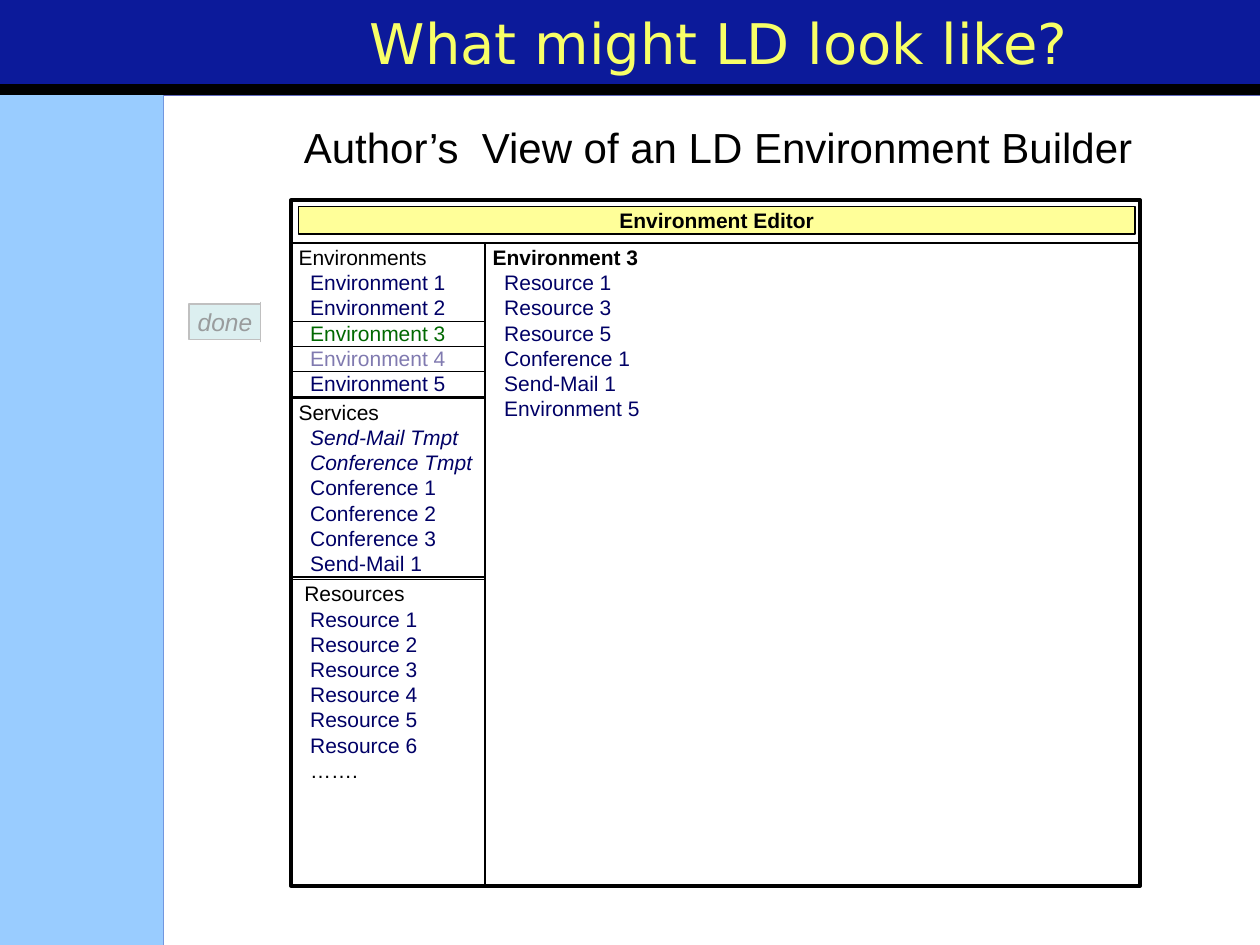
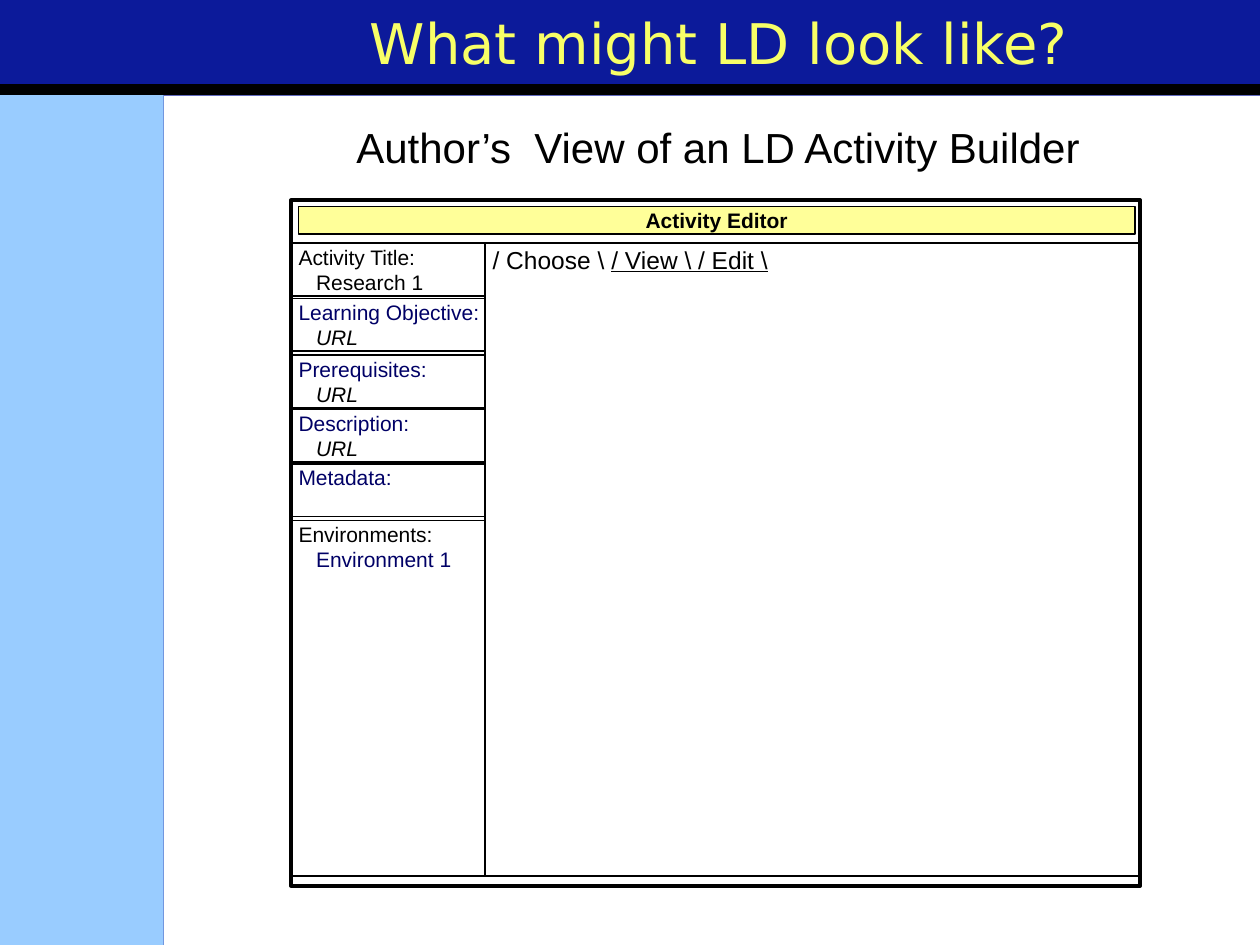
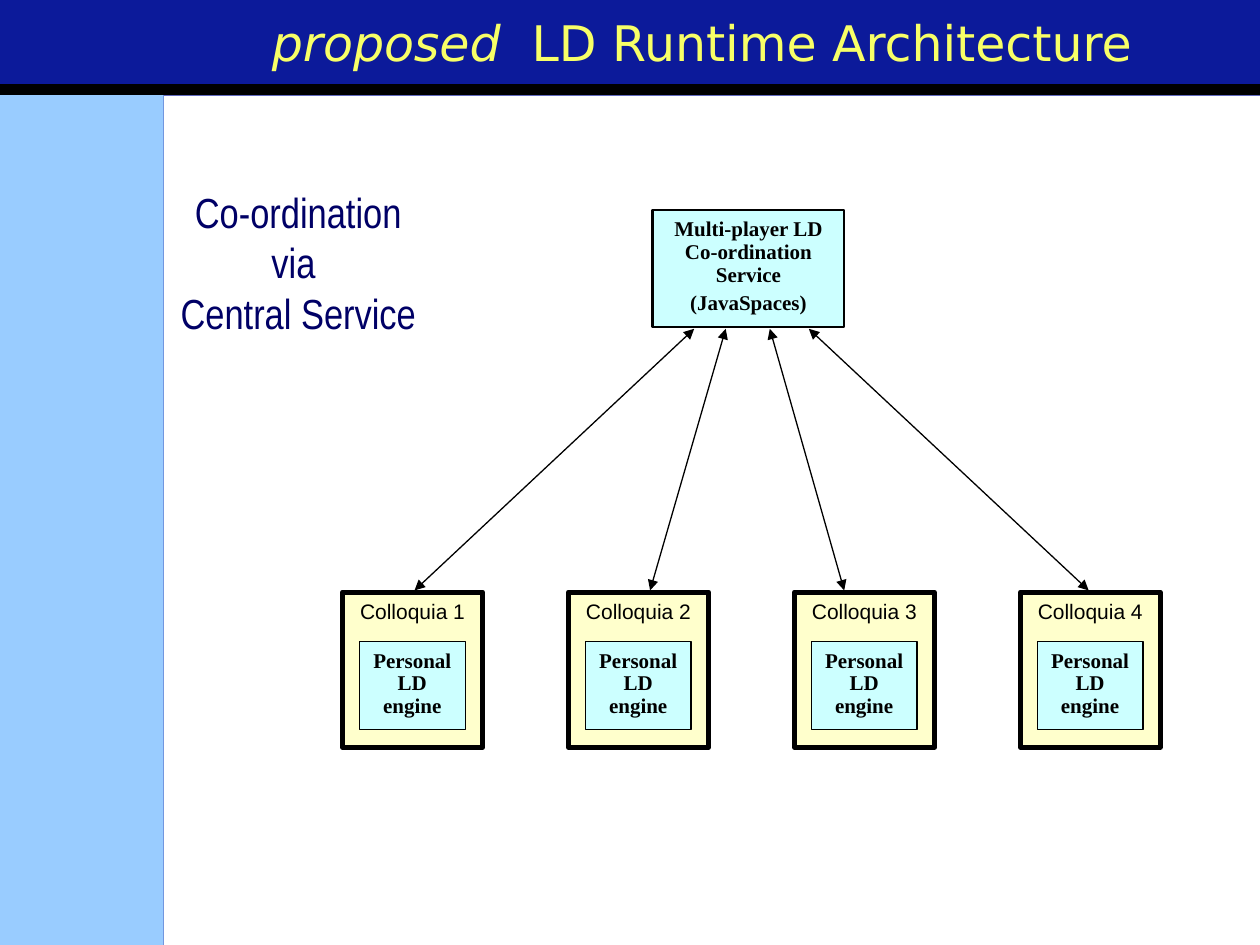
from dataclasses import dataclass

from lxml import etree
from pptx import Presentation
from pptx import util as u
from pptx.dml import color as dml
from pptx.enum import shapes, text
from pptx.oxml import ns

Pt = u.Pt


@dataclass(frozen=True)
class Theme:
    navy: str = "0C1A9A"
    sky: str = "99CCFF"
    white: str = "FFFFFF"
    black: str = "000000"
    title_yellow: str = "F8FF67"
    bar_yellow: str = "FFFF99"
    cream: str = "FFFFCC"
    aqua: str = "CCFFFF"
    link: str = "000066"
    selected: str = "006800"
    visited: str = "807AB0"
    button: str = "BBE0E3"
    button_edge: str = "C0C0C0"
    button_text: str = "999C9D"
    title_font: str = "DejaVu Sans"
    body_font: str = "Arial"
    narrow_font: str = "Arial Narrow"
    serif_font: str = "Times New Roman"
    title_size: int = 32
    long_title_size: int = 28
    heading_size: int = 24
    tab_size: int = 14
    body_size: int = 12


THEME = Theme()
CENTER = text.PP_ALIGN.CENTER
LEFT = text.PP_ALIGN.LEFT
SMALL_INSETS = (4.3, 0.7, 4.3, 0.7)
TIGHT_INSETS = (4.3, 0.7, 1.4, 0.7)
NORMAL_INSETS = (7.2, 3.6, 7.2, 3.6)
SERVICE_INSETS = (7.2, 5, 7.2, 3.6)

FRAME_LEFT, FRAME_WIDTH = 166.3, 485.3
PANEL_TOP, PANEL_BOTTOM = 139, 505.4
LIST_WIDTH = 110.9
DETAIL_LEFT = FRAME_LEFT + LIST_WIDTH


@dataclass
class Line:
    words: str
    color: str = THEME.black
    size: float = THEME.body_size
    font: str = THEME.body_font
    bold: bool = False
    italic: bool = False
    underline: bool = False
    indent: float = 0
    align: text.PP_ALIGN = LEFT
    spacing: float = 1.0


def links(*names, **style):
    return [Line(name, THEME.link, indent=6.67, **style) for name in names]


class Deck:
    def __init__(self, theme):
        self.theme = theme
        self.presentation = Presentation()
        self.presentation.slide_width = Pt(720)
        self.presentation.slide_height = Pt(540)
        self.layout = self.presentation.slide_layouts[5]
        self.slide = None

    def add_shared_bands(self):
        theme = self.theme
        self.layout.background.fill.solid()
        self.layout.background.fill.fore_color.rgb = dml.RGBColor.from_string(theme.navy)
        for placeholder in list(self.layout.placeholders):
            if placeholder.placeholder_format.idx != 0:
                placeholder.element.getparent().remove(placeholder.element)
        bands = [
            self.box(93.6, 54.7, 626.4, 485.3, fill=theme.white, line=None),
            self.box(0, 54, 93.6, 486, fill=theme.sky, line=None),
            self.box(0, 48.2, 720, 5.8, fill=theme.black, weight=0.75),
        ]
        for position, band in enumerate(bands, start=2):
            self.layout.shapes.element.insert(position, band.element)

    def new_slide(self, *title_lines, left=149, width=534.2):
        first = self.slide is None
        self.slide = self.presentation.slides.add_slide(self.layout)
        if first:
            self.add_shared_bands()
        title = self.slide.shapes.title
        title.left, title.top, title.width, title.height = Pt(left), 0, Pt(width), Pt(48.2)
        self.set_lines(title.text_frame, title_lines[:1], NORMAL_INSETS, text.MSO_ANCHOR.MIDDLE)
        for line in title_lines[1:]:
            self.add_words(title.text_frame.paragraphs[0], line)

    def style(self, run, line):
        font = run.font
        font.name, font.size = line.font, Pt(line.size)
        font.bold, font.italic, font.underline = line.bold, line.italic, line.underline
        font.color.rgb = dml.RGBColor.from_string(line.color)

    def add_words(self, paragraph, line):
        run = paragraph.add_run()
        run.text = line.words
        self.style(run, line)

    def set_lines(self, frame, lines, insets, anchor=text.MSO_ANCHOR.TOP):
        frame.auto_size = text.MSO_AUTO_SIZE.NONE
        frame.word_wrap = True
        frame.vertical_anchor = anchor
        frame.margin_left, frame.margin_top, frame.margin_right, frame.margin_bottom = map(Pt, insets)
        for index, line in enumerate(lines):
            paragraph = frame.add_paragraph() if index else frame.paragraphs[0]
            paragraph.text = line.words
            paragraph.alignment = line.align
            paragraph.line_spacing = line.spacing
            if line.indent:
                paragraph._p.get_or_add_pPr().set("marL", str(Pt(line.indent)))
            for run in paragraph.runs:
                self.style(run, line)

    def box(self, left, top, width, height, lines=(), fill=None, line=THEME.black,
            weight=1, insets=SMALL_INSETS, kind=shapes.MSO_SHAPE.RECTANGLE):
        shape = self.slide.shapes.add_shape(kind, Pt(left), Pt(top), Pt(width), Pt(height))
        shape.shadow.inherit = False
        if fill:
            shape.fill.solid()
            shape.fill.fore_color.rgb = dml.RGBColor.from_string(fill)
        else:
            shape.fill.background()
        if line:
            shape.line.color.rgb = dml.RGBColor.from_string(line)
            shape.line.width = Pt(weight)
        else:
            shape.line.fill.background()
        if lines:
            self.set_lines(shape.text_frame, lines, insets)
        return shape

    def label(self, left, top, width, height, line, insets=NORMAL_INSETS):
        shape = self.slide.shapes.add_textbox(Pt(left), Pt(top), Pt(width), Pt(height))
        self.set_lines(shape.text_frame, [line], insets)

    def double_arrow(self, start, end):
        connector = self.slide.shapes.add_connector(
            shapes.MSO_CONNECTOR.STRAIGHT, *map(Pt, start), *map(Pt, end))
        connector.line.color.rgb = dml.RGBColor.from_string(self.theme.black)
        connector.line.width = Pt(0.75)
        outline = connector.line._get_or_add_ln()
        for end_name in ("a:headEnd", "a:tailEnd"):
            etree.SubElement(outline, ns.qn(end_name), type="triangle")
        etree.SubElement(connector.element.spPr, ns.qn("a:effectLst"))

    def done_button(self):
        theme = self.theme
        button = self.box(108, 172.8, 41, 22.3, fill=theme.button, line=theme.button_edge,
                          weight=0.75, kind=shapes.MSO_SHAPE.RIGHT_ARROW)
        button.adjustments[0], button.adjustments[1] = 0.92, 0
        fill_color = button.element.spPr.find(".//" + ns.qn("a:srgbClr"))
        etree.SubElement(fill_color, ns.qn("a:alpha"), val="50000")
        self.label(113, 175.7, 33.8, 16.6,
                   Line("done", theme.button_text, theme.tab_size, italic=True), (0, 0, 0, 0))

    def editor(self, heading, bar_title):
        theme = self.theme
        self.label(144.7, 66.2, 531.4, 36, Line(heading, size=theme.heading_size, align=CENTER))
        self.box(FRAME_LEFT, 114.5, FRAME_WIDTH, 391.7, fill=theme.white, weight=2.25)
        self.box(170.6, 118, 478, 15.9, [Line(bar_title, bold=True, align=CENTER)],
                 fill=theme.bar_yellow)

    def list_panel(self, top, height, lines, insets=SMALL_INSETS):
        self.box(FRAME_LEFT, top, LIST_WIDTH, height, lines, insets=insets)

    def detail_panel(self, bottom, lines):
        return self.box(DETAIL_LEFT, PANEL_TOP, FRAME_LEFT + FRAME_WIDTH - DETAIL_LEFT,
                        bottom - PANEL_TOP, lines)


def title_line(words, size=THEME.title_size, italic=False):
    return Line(words, THEME.title_yellow, size, THEME.title_font, italic=italic, align=CENTER)


def serif_line(words, spacing):
    return Line(words, font=THEME.serif_font, bold=True, align=CENTER, spacing=spacing)


def build_environment_editor(deck):
    deck.new_slide(title_line("What might LD look like? "))
    deck.editor("Author’s  View of an LD Environment Builder", "Environment Editor")
    environments = links(*(f"Environment {number}" for number in range(1, 6)))
    environments[2].color = THEME.selected
    environments[3].color = THEME.visited
    deck.list_panel(PANEL_TOP, 87.8, [Line("Environments")] + environments)
    deck.list_panel(227.5, 102.2, [Line("Services")]
                    + links("Send-Mail Tmpt", "Conference Tmpt", italic=True)
                    + links("Conference 1", "Conference 2", "Conference 3", "Send-Mail 1"))
    deck.list_panel(331.2, PANEL_BOTTOM - 331.2, [Line("Resources", indent=3.33)]
                    + links(*(f"Resource {number}" for number in range(1, 7)))
                    + [Line("…….", indent=6.67)])
    deck.detail_panel(PANEL_BOTTOM, [Line("Environment 3", bold=True)]
                      + links("Resource 1", "Resource 3", "Resource 5",
                              "Conference 1", "Send-Mail 1", "Environment 5"))
    for row_top in (183.6, 212.4):
        deck.box(FRAME_LEFT, row_top, LIST_WIDTH, 14.4, weight=0.75)
    deck.done_button()


def build_activity_editor(deck):
    deck.new_slide(title_line("What might LD look like? "))
    deck.editor("Author’s  View of an LD Activity Builder", "Activity Editor")
    bottom = 500.4
    deck.list_panel(PANEL_TOP, 30.2, [Line("Activity Title:"), Line("Research 1", indent=10)])
    tabs = deck.detail_panel(bottom, [Line("/ Choose \\ ", size=THEME.tab_size)])
    deck.add_words(tabs.text_frame.paragraphs[0],
                   Line("/ View \\ / Edit \\", size=THEME.tab_size, underline=True))
    url = [Line("URL", italic=True, indent=10)]
    fields = [(170.6, "Learning Objective:", url), (203, "Prerequisites:", url),
              (234, "Description:", url), (265, "Metadata:", [])]
    for top, name, value in fields:
        deck.list_panel(top, 30.2, [Line(name, THEME.link)] + value, TIGHT_INSETS)
    deck.list_panel(297.4, bottom - 297.4,
                    [Line("Environments:"), Line("Environment 1", THEME.link, indent=10)])


def build_runtime_architecture(deck):
    deck.new_slide(title_line("proposed", THEME.long_title_size, italic=True),
                   title_line("  LD Runtime Architecture", THEME.long_title_size),
                   left=118.8, width=564.5)
    for index in range(4):
        left = 195.8 + index * 129.1
        deck.box(left, 338.4, 79.9, 88.6, [Line(f"Colloquia {index + 1}", align=CENTER)],
                 fill=THEME.cream, weight=3, insets=NORMAL_INSETS)
        deck.box(left + 9.6, 366.5, 60.5, 50.4, [serif_line("Personal LD engine", 0.9)],
                 fill=THEME.aqua, weight=0.75, insets=SERVICE_INSETS)
    deck.box(373, 120, 109.4, 67,
             [serif_line("Multi-player LD Co-ordination Service", 0.9),
              serif_line("(JavaSpaces)", 1.1)],
             fill=THEME.aqua, weight=1.5, insets=SERVICE_INSETS)
    for engine_x, service_x in ((236.9, 396.7), (371.5, 414.7), (482.4, 439.9), (622.1, 462.2)):
        deck.double_arrow((engine_x, 337.4), (service_x, 187.9))
    deck.label(80.6, 99.4, 174.2, 156.2,
               Line(" Co-ordination\vvia\v Central Service", THEME.link, THEME.heading_size,
                    THEME.narrow_font, align=CENTER), (7.2, 7.2, 7.2, 3.6))


def main():
    deck = Deck(THEME)
    build_environment_editor(deck)
    build_activity_editor(deck)
    build_runtime_architecture(deck)
    deck.presentation.save("out.pptx")


if __name__ == "__main__":
    main()
